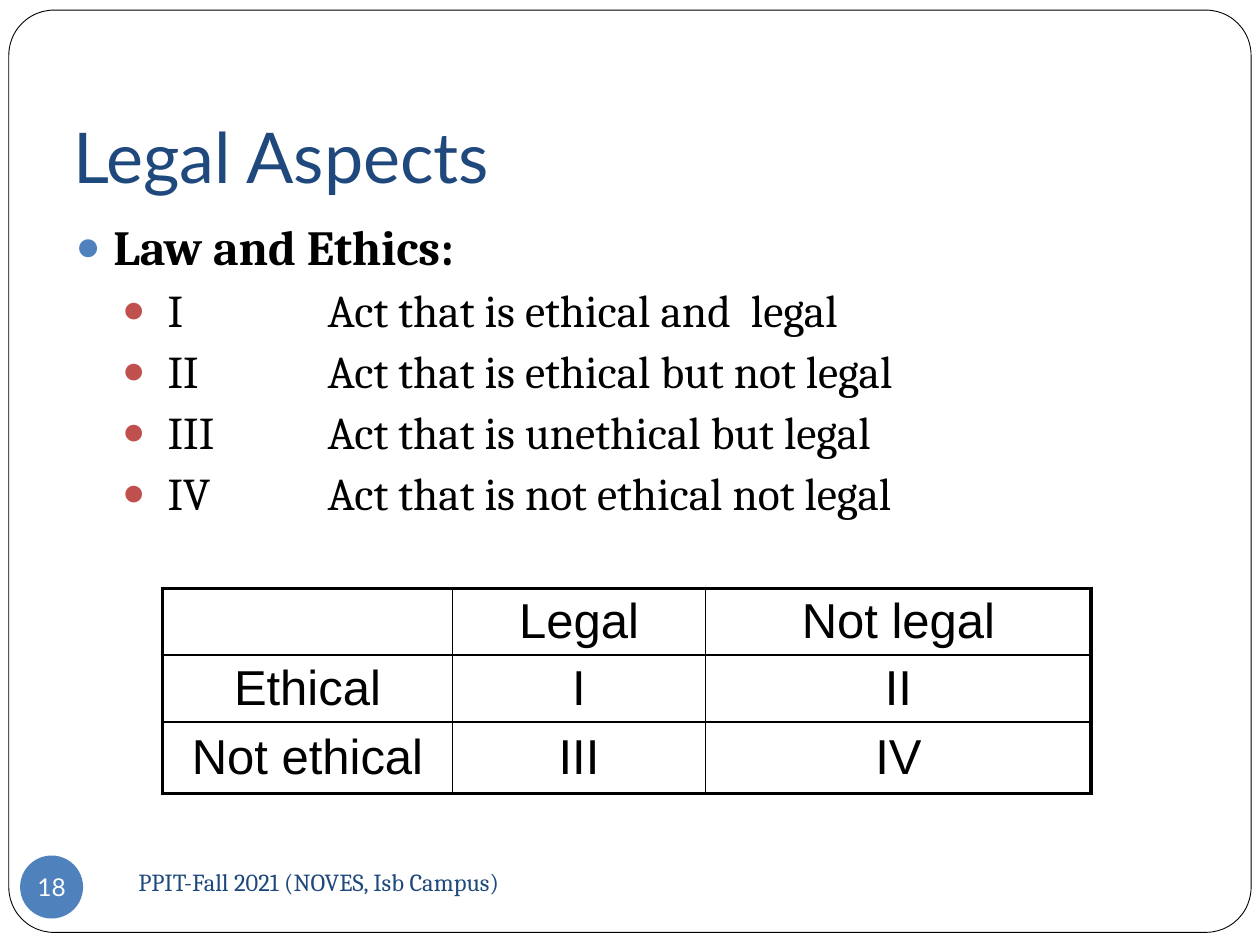
"""Build the Legal Aspects slide: a bullet list above a law and ethics table."""
from lxml import etree
from pptx import Presentation
from pptx.dml.color import RGBColor
from pptx.enum.shapes import MSO_SHAPE
from pptx.enum.text import MSO_ANCHOR, MSO_AUTO_SIZE, PP_ALIGN
from pptx.oxml.ns import qn
from pptx.util import Inches, Pt

ROUNDED, OVAL = MSO_SHAPE.ROUNDED_RECTANGLE, MSO_SHAPE.OVAL
LEFT, CENTER = PP_ALIGN.LEFT, PP_ALIGN.CENTER
TOP, MIDDLE, BOTTOM = MSO_ANCHOR.TOP, MSO_ANCHOR.MIDDLE, MSO_ANCHOR.BOTTOM
NO_FIT = MSO_AUTO_SIZE.NONE

THEME = {
    "white": "FFFFFF", "black": "000000", "navy": "1F497D",
    "blue": "4F81BD", "red": "C0504D",
    "heading": "Lato", "body": "Cambria", "table": "Arial",
    "title_size": 40, "lead_size": 28, "item_size": 26, "small_size": 14,
    "thick": 2.25, "thin": 1, "frame": 0.5,
}
TAB_STEP = 1
LEVELS = (
    {"indent": 0.3, "hang": 0.3, "before": 5.8, "bullet": "blue", "size": "lead_size", "bold": True},
    {"indent": 0.73, "hang": 0.36, "before": 3.7, "bullet": "red", "size": "item_size", "bold": False},
)
TITLE = "Legal Aspects"
BULLETS = [
    (0, "Law and Ethics:"),
    (1, "I\t\tAct that is ethical and  legal"),
    (1, "II \tAct that is ethical but not legal"),
    (1, "III \tAct that is unethical but legal"),
    (1, "IV \tAct that is not ethical not legal"),
]
GRID = [
    ("", "Legal", "Not legal"),
    ("Ethical", "I", "II"),
    ("Not ethical", "III", "IV"),
]
COLUMNS, ROWS = (2.3, 2.01, 3.06), (0.53, 0.53, 0.57)
FOOTER, NUMBER = "PPIT-Fall 2021 (NOVES, Isb Campus)", "18"


def color(name):
    return RGBColor.from_string(THEME[name])


def inches(*values):
    return [Inches(value) for value in values]


def write(para, text, font="body", size="small_size", ink="black", bold=False, align=LEFT):
    para.alignment = align
    span = para.add_run()
    span.text = text
    span.font.name = THEME[font]
    span.font.size = Pt(THEME[size])
    span.font.bold = bold
    span.font.color.rgb = color(ink)


def set_frame(frame, anchor, margins=(0.1, 0.05, 0.1, 0.05), wrap=True):
    frame.auto_size = NO_FIT
    frame.word_wrap = wrap
    frame.vertical_anchor = anchor
    (frame.margin_left, frame.margin_top,
     frame.margin_right, frame.margin_bottom) = inches(*margins)
    return frame


def place(box, left, top, width, height):
    box.left, box.top, box.width, box.height = inches(left, top, width, height)


def add_solid(page, kind, area, fill):
    shape = page.shapes.add_shape(kind, *inches(*area))
    shape.shadow.inherit = False
    shape.fill.solid()
    shape.fill.fore_color.rgb = color(fill)
    return shape


def set_bullet(para, level):
    props = para._p.get_or_add_pPr()
    props.set("marL", str(Inches(level["indent"])))
    props.set("indent", str(-Inches(level["hang"])))
    props.set("defTabSz", str(Inches(TAB_STEP)))
    tint = etree.SubElement(props, qn("a:buClr"))
    etree.SubElement(tint, qn("a:srgbClr"), val=THEME[level["bullet"]])
    etree.SubElement(props, qn("a:buSzPct"), val="85000")
    etree.SubElement(props, qn("a:buFont"), typeface=THEME["table"])
    etree.SubElement(props, qn("a:buChar"), char="●")


def set_borders(cell, outer):
    props = cell._tc.get_or_add_tcPr()
    for index, side in enumerate(("lnL", "lnR", "lnT", "lnB")):
        width = Pt(THEME["thick" if side in outer else "thin"])
        line = etree.Element(qn("a:" + side), w=str(width))
        solid = etree.SubElement(line, qn("a:solidFill"))
        etree.SubElement(solid, qn("a:srgbClr"), val=THEME["black"])
        props.insert(index, line)


def add_grid(page, left, top):
    area = inches(left, top, sum(COLUMNS), sum(ROWS))
    table = page.shapes.add_table(len(ROWS), len(COLUMNS), *area).table
    table.first_row = table.horz_banding = False
    for column, width in zip(table.columns, COLUMNS):
        column.width = Inches(width)
    for row, height in zip(table.rows, ROWS):
        row.height = Inches(height)
    for y, texts in enumerate(GRID):
        for x, text in enumerate(texts):
            cell = table.cell(y, x)
            cell.fill.background()
            cell.vertical_anchor = MIDDLE
            cell.margin_top = cell.margin_bottom = Inches(0.04)
            edges = {"lnL": x == 0, "lnR": x == len(COLUMNS) - 1,
                     "lnT": y == 0, "lnB": y == len(ROWS) - 1}
            set_borders(cell, [side for side, is_outer in edges.items() if is_outer])
            if text:
                write(cell.text_frame.paragraphs[0], text,
                      font="table", size="lead_size", align=CENTER)


def build():
    deck = Presentation()
    deck.slide_width, deck.slide_height = inches(10, 7.5)
    page = deck.slides.add_slide(deck.slide_layouts[1])
    title, body = page.placeholders

    border = add_solid(page, ROUNDED, (0.07, 0.08, 9.86, 7.32), "white")
    border.adjustments[0] = 0.049
    border.line.color.rgb = color("black")
    border.line.width = Pt(THEME["frame"])
    title._element.addprevious(border._element)

    place(title, 0.48, 0.67, 8.77, 1)
    frame = set_frame(title.text_frame, BOTTOM, (0.1, 0.05, 0.1, 0.1))
    write(frame.paragraphs[0], TITLE, font="heading", size="title_size", ink="navy")

    place(body, 0.5, 1.67, 8.75, 2.75)
    frame = set_frame(body.text_frame, TOP)
    for index, (depth, text) in enumerate(BULLETS):
        para = frame.add_paragraph() if index else frame.paragraphs[0]
        level = LEVELS[depth]
        para.level = depth
        para.space_before = Pt(level["before"])
        write(para, text, size=level["size"], bold=level["bold"])
        set_bullet(para, level)

    add_grid(page, 1.29, 4.67)

    footer = page.shapes.add_textbox(*inches(1, 6.75, 4.33, 0.5))
    write(set_frame(footer.text_frame, MIDDLE).paragraphs[0], FOOTER, ink="navy")

    badge = add_solid(page, OVAL, (0.16, 6.79, 0.5, 0.5), "blue")
    badge.line.fill.background()
    frame = set_frame(badge.text_frame, MIDDLE, (0, 0, 0, 0), wrap=False)
    write(frame.paragraphs[0], NUMBER, font="heading", ink="white", align=CENTER)

    deck.save("out.pptx")


build()
